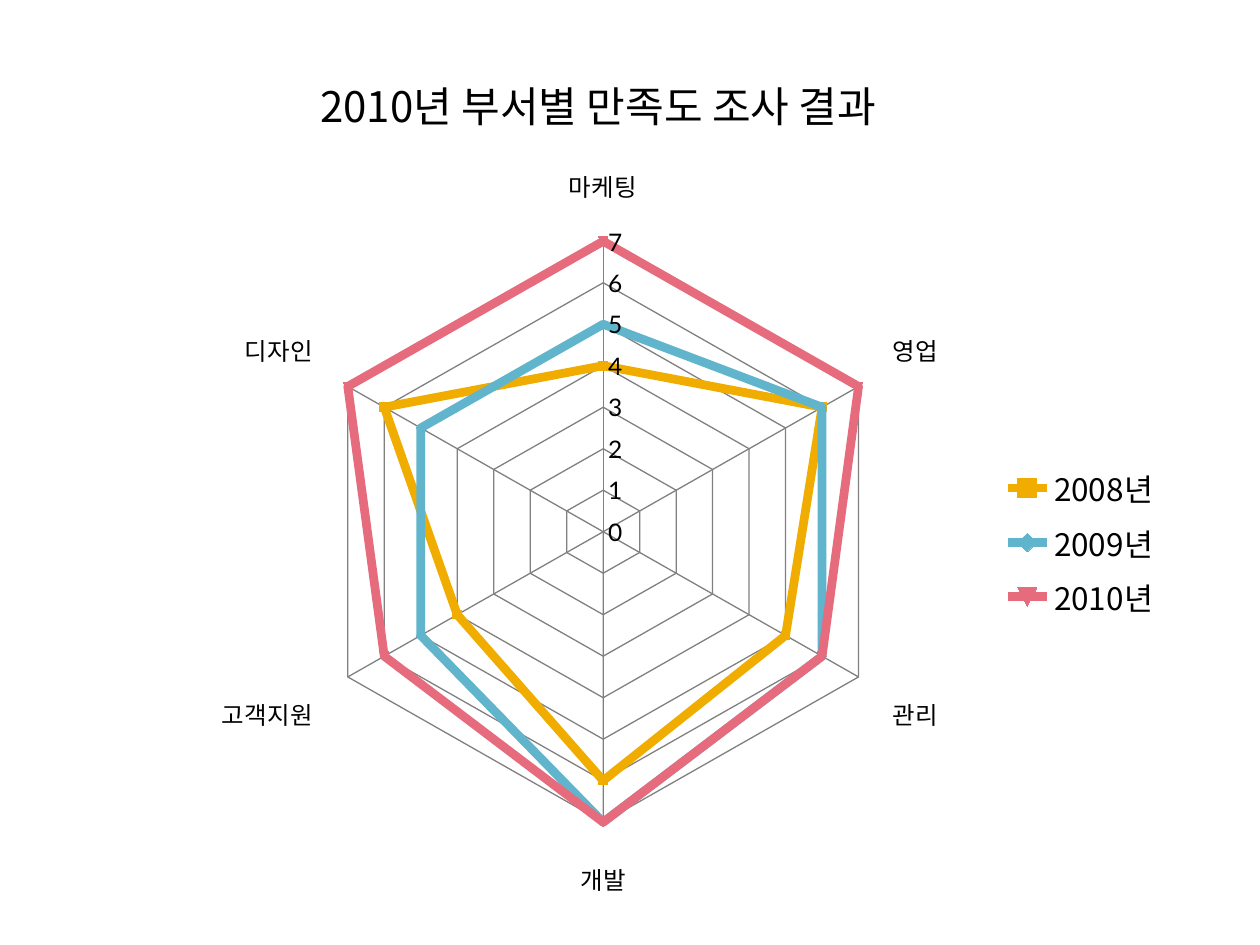
from dataclasses import dataclass

from lxml import etree
from pptx import Presentation, util as u
from pptx.chart.data import CategoryChartData
from pptx.dml.color import RGBColor
from pptx.enum import chart as ch, text as t
from pptx.oxml import ns


@dataclass(frozen=True)
class Theme:
    korean: str = "Noto Sans CJK KR"
    latin: str = "Lato"
    ink: str = "000000"
    grid: str = "808080"
    title_size: int = 24
    legend_size: int = 18
    label_size: int = 14
    series_width: float = 5
    grid_width: float = 0.75


@dataclass(frozen=True)
class YearScores:
    year: str
    scores: tuple[int, ...]
    color: str


THEME = Theme()
DEPARTMENTS = ("마케팅", "영업", "관리", "개발", "고객지원", "디자인")
SURVEYS = (
    YearScores("2008년", (4, 6, 5, 6, 4, 6), "F0AD00"),
    YearScores("2009년", (5, 6, 6, 7, 5, 5), "60B5CC"),
    YearScores("2010년", (7, 7, 6, 7, 6, 7), "E66C7D"),
)


def format_font(font, *, size: float, face: str, color: str = THEME.ink) -> None:
    """Set the face for both Latin and East Asian characters."""
    font.size = u.Pt(size)
    font.bold = False
    font.color.rgb = RGBColor.from_string(color)
    font.name = face
    etree.SubElement(font._element, ns.qn("a:ea"), typeface=face)


def write_text(frame, content: str, *, align=t.PP_ALIGN.LEFT, **font_format) -> None:
    paragraph = frame.paragraphs[0]
    paragraph.alignment = align
    run = paragraph.add_run()
    run.text = content
    format_font(run.font, **font_format)


def format_line(line, color: str, width: float) -> None:
    line.color.rgb = RGBColor.from_string(color)
    line.width = u.Pt(width)


def place_chart_part(part, *, inner: bool = False, **box: float) -> None:
    """Give a chart part a fixed layout in fractions of the chart size."""
    for old in part.findall(ns.qn("c:layout")):
        part.remove(old)
    layout = etree.Element(ns.qn("c:layout"))
    manual = etree.SubElement(layout, ns.qn("c:manualLayout"))
    settings = {"layoutTarget": "inner"} if inner else {}
    settings |= {"xMode": "edge", "yMode": "edge"}
    settings |= {side: str(value) for side, value in box.items()}
    for tag, value in settings.items():
        etree.SubElement(manual, ns.qn(f"c:{tag}"), val=value)
    part.insert(len(part.findall(ns.qn("c:legendPos"))), layout)


def add_title(slide, content: str) -> None:
    title = slide.shapes.title
    title.left, title.top = u.Cm(6.2), u.Cm(1.5)
    title.width, title.height = u.Cm(13), u.Cm(1.28)
    frame = title.text_frame
    frame.word_wrap = True
    frame.auto_size = t.MSO_AUTO_SIZE.NONE
    frame.vertical_anchor = t.MSO_ANCHOR.MIDDLE
    write_text(frame, content, size=THEME.title_size, face=THEME.korean)


def format_axis(axis, face: str) -> None:
    axis.major_tick_mark = axis.minor_tick_mark = ch.XL_TICK_MARK.NONE
    axis.has_major_gridlines = True
    for line in (axis.format.line, axis.major_gridlines.format.line):
        format_line(line, THEME.grid, THEME.grid_width)
    format_font(axis.tick_labels.font, size=THEME.label_size, face=face)


def add_satisfaction_chart(slide) -> None:
    data = CategoryChartData()
    data.categories = DEPARTMENTS
    for survey in SURVEYS:
        data.add_series(survey.year, survey.scores)
    chart = slide.shapes.add_chart(
        ch.XL_CHART_TYPE.RADAR_MARKERS,
        u.Cm(2.77), u.Cm(3.38), u.Cm(22.63), u.Cm(14.68), data,
    ).chart
    chart.has_title = False
    format_font(chart.font, size=THEME.legend_size, face=THEME.korean)

    plot = chart.plots[0]
    plot.vary_by_categories = False
    for series, survey in zip(plot.series, SURVEYS):
        format_line(series.format.line, survey.color, THEME.series_width)
    place_chart_part(plot._element.getparent(), inner=True,
                     x=0.15, y=0.09, w=0.53, h=0.81)

    format_axis(chart.category_axis, THEME.korean)
    scores = chart.value_axis
    format_axis(scores, THEME.latin)
    scores.minimum_scale, scores.maximum_scale, scores.major_unit = 0, 7, 1

    chart.has_legend = True
    legend = chart.legend
    legend.position = ch.XL_LEGEND_POSITION.RIGHT
    legend.include_in_layout = False
    format_font(legend.font, size=THEME.legend_size, face=THEME.korean)
    place_chart_part(legend._element, x=0.74, y=0.39, w=0.2, h=0.24)


def main() -> None:
    deck = Presentation()
    deck.slide_width, deck.slide_height = u.Cm(25.4), u.Cm(19.05)
    slide = deck.slides.add_slide(deck.slide_layouts[5])
    add_satisfaction_chart(slide)
    add_title(slide, "2010년 부서별 만족도 조사 결과")
    deck.save("out.pptx")


if __name__ == "__main__":
    main()
